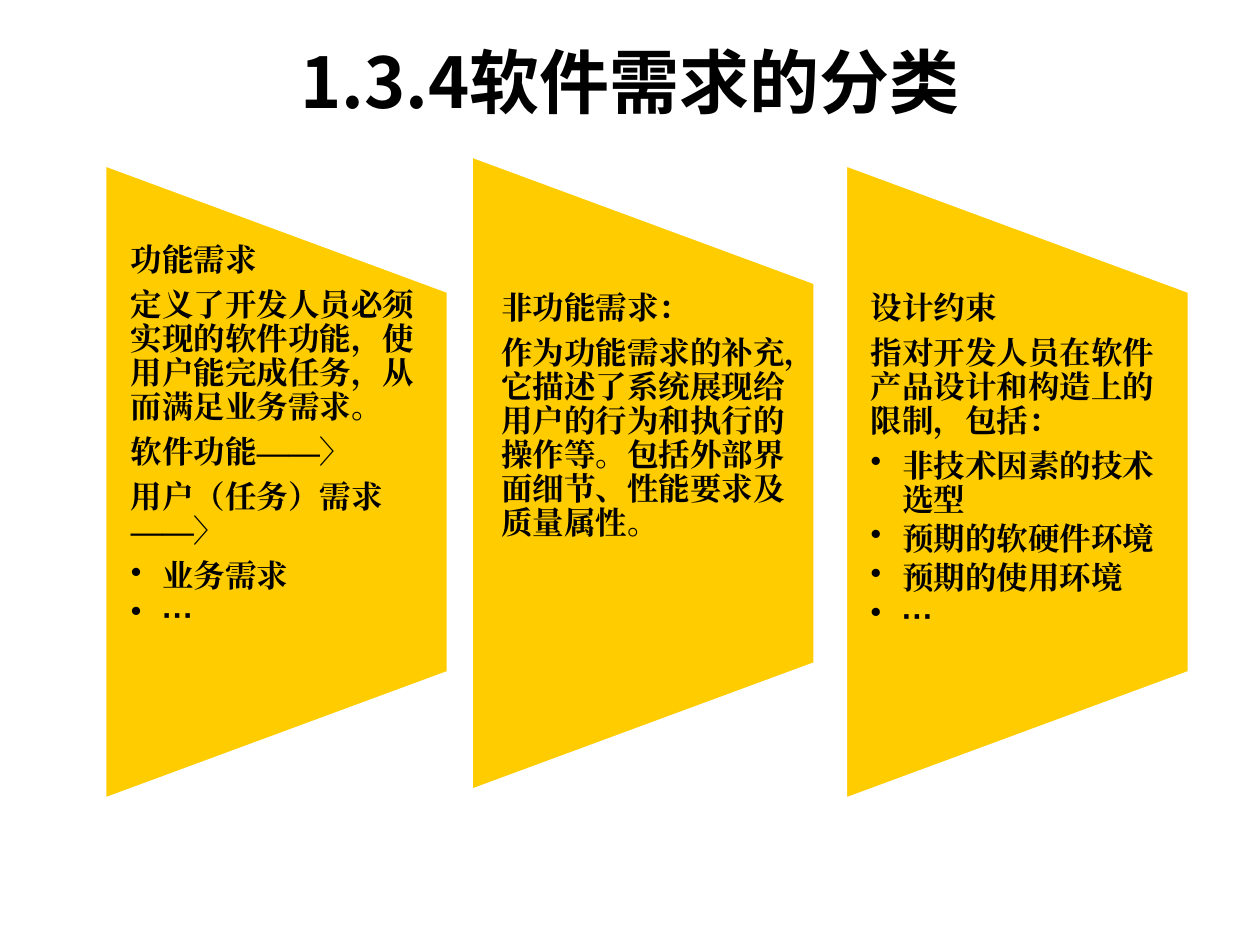
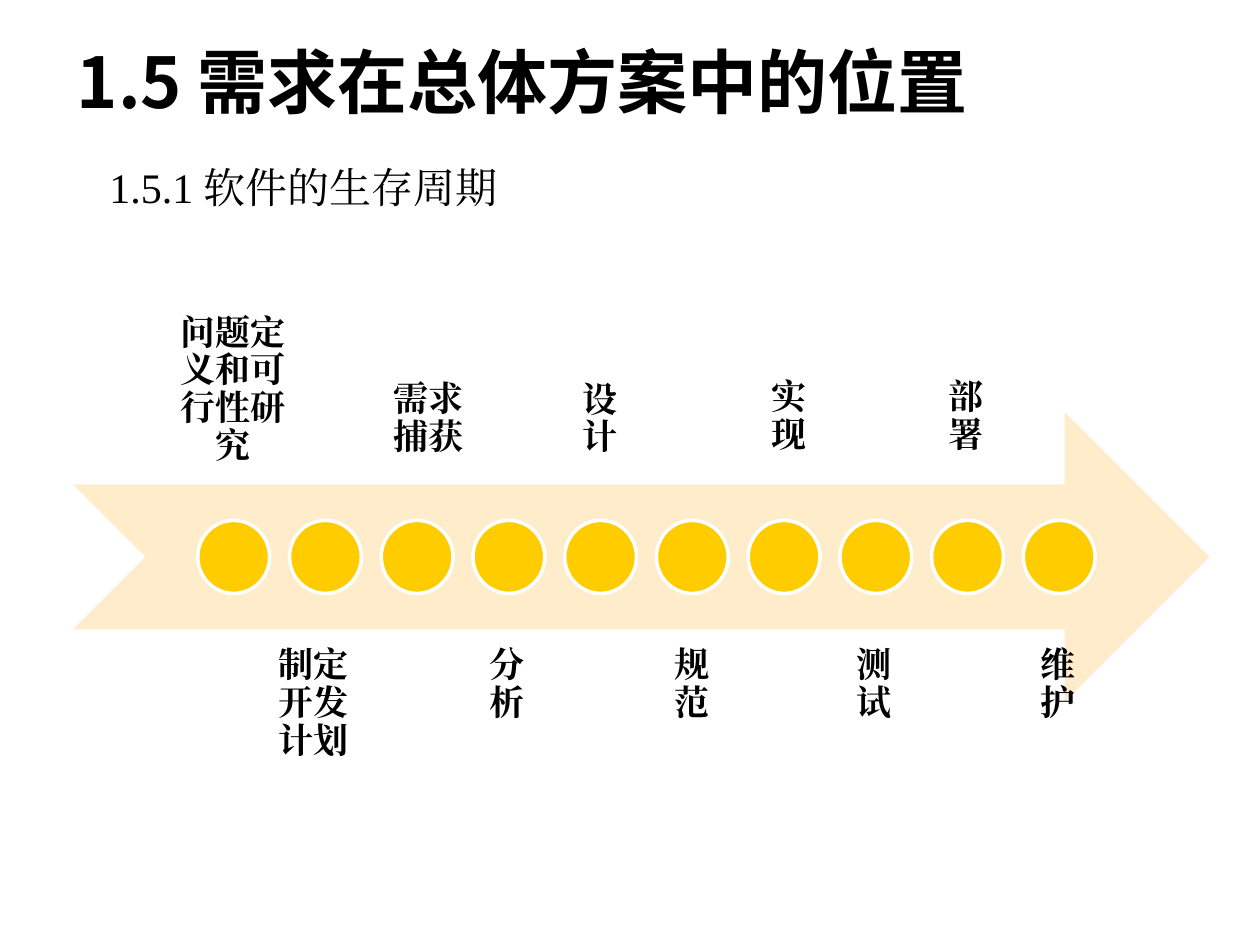
"""Build two slides on software requirements and the software life cycle."""
from dataclasses import dataclass

import lxml.etree
import pptx
import pptx.dml.color
import pptx.enum.lang
import pptx.enum.shapes
import pptx.enum.text
import pptx.oxml.ns
import pptx.presentation
import pptx.shapes.autoshape
import pptx.slide
import pptx.text.text
import pptx.util
from pptx.util import Inches

BLACK = pptx.dml.color.RGBColor(0x00, 0x00, 0x00)
WHITE = pptx.dml.color.RGBColor(0xFF, 0xFF, 0xFF)
YELLOW = pptx.dml.color.RGBColor(0xFF, 0xCC, 0x00)
CREAM = pptx.dml.color.RGBColor(0xFF, 0xEC, 0xCB)

TITLE_FONT = "Noto Sans CJK SC"
BODY_FONT = "Times New Roman"
SYMBOL_FONT = "Arial"
ELLIPSIS = "···"

LEFT = pptx.enum.text.PP_ALIGN.LEFT
CENTER = pptx.enum.text.PP_ALIGN.CENTER
TOP = pptx.enum.text.MSO_ANCHOR.TOP
BOTTOM = pptx.enum.text.MSO_ANCHOR.BOTTOM
SHAPES = pptx.enum.shapes.MSO_SHAPE

PANEL_LENGTH, PANEL_WIDTH = 5.04, 2.73
DOT_LEFT, DOT_TOP, DOT_STEP = 1.57, 4.13, 0.728
DOT_WIDTH, DOT_HEIGHT = 0.57, 0.58


@dataclass(frozen=True)
class Box:
    """Position and size in inches."""

    left: float
    top: float
    width: float
    height: float

    def lengths(self) -> tuple[pptx.util.Length, ...]:
        """Return the four values as lengths."""
        return tuple(Inches(value) for value in (self.left, self.top, self.width, self.height))


@dataclass(frozen=True)
class Category:
    """A requirement category: its panel, text area, paragraphs and bullets."""

    panel_left: float
    panel_top: float
    text_box: Box
    paragraphs: tuple[str, ...]
    bullets: tuple[str, ...] = ()


@dataclass(frozen=True)
class Phase:
    """A life cycle phase and the place of its label."""

    name: str
    label: Box


CATEGORIES = (
    Category(
        0.83, 2.46, Box(0.83, 1.94, PANEL_WIDTH, 3.41),
        (
            "功能需求",
            "定义了开发人员必须实现的软件功能，使用户能完成任务，从而满足业务需求。",
            "软件功能——〉",
            "用户（任务）需求——〉",
        ),
        ("业务需求", ELLIPSIS),
    ),
    Category(
        3.74, 2.39, Box(3.77, 2.32, PANEL_WIDTH, 3.03),
        (
            "非功能需求：",
            "作为功能需求的补充，它描述了系统展现给用户的行为和执行的操作等。"
            "包括外部界面细节、性能要求及质量属性。",
        ),
    ),
    Category(
        6.71, 2.46, Box(6.7, 2.32, PANEL_WIDTH, 3.03),
        ("设计约束", "指对开发人员在软件产品设计和构造上的限制，包括："),
        ("非技术因素的技术选型", "预期的软硬件环境", "预期的使用环境", ELLIPSIS),
    ),
)

PHASES = (
    Phase("问题定义和可行性研究", Box(1.22, 2.41, 1.26, 1.43)),
    Phase("制定开发计划", Box(2.01, 5, 0.96, 1.19)),
    Phase("需求捕获", Box(2.95, 2.81, 0.91, 0.96)),
    Phase("分析", Box(3.64, 5, 0.77, 1.12)),
    Phase("设计", Box(4.37, 2.65, 0.78, 1.12)),
    Phase("规范", Box(5.1, 5, 0.78, 1.2)),
    Phase("实现", Box(5.87, 2.49, 0.78, 1.26)),
    Phase("测试", Box(6.55, 5, 0.78, 0.88)),
    Phase("部署", Box(7.28, 2.73, 0.78, 1.02)),
    Phase("维护", Box(8.01, 5, 0.78, 0.96)),
)


def format_runs(
    paragraph: pptx.text.text._Paragraph, size: float, font_name: str = BODY_FONT, bold: bool = True
) -> None:
    """Give every run its size, weight, colour and Latin and East Asian font."""
    for run in paragraph.runs:
        run.font.size = pptx.util.Pt(size)
        run.font.bold = bold
        run.font.color.rgb = BLACK
        run.font.name = font_name
        run.font.language_id = pptx.enum.lang.MSO_LANGUAGE_ID.SIMPLIFIED_CHINESE
        properties = run._r.get_or_add_rPr()
        lxml.etree.SubElement(properties, pptx.oxml.ns.qn("a:ea"), typeface=font_name)


def add_bullet(paragraph: pptx.text.text._Paragraph) -> None:
    """Turn a paragraph into a bulleted one with a hanging indent."""
    paragraph.level = 1
    properties = paragraph._p.get_or_add_pPr()
    properties.set("marL", str(Inches(0.25)))
    properties.set("indent", str(Inches(-0.25)))
    lxml.etree.SubElement(properties, pptx.oxml.ns.qn("a:buChar"), char="•")


def add_titled_slide(
    presentation: pptx.presentation.Presentation, title: str, alignment: pptx.enum.text.PP_ALIGN
) -> pptx.slide.Slide:
    """Add a slide with a formatted title."""
    slide = presentation.slides.add_slide(presentation.slide_layouts.get_by_name("Title Only"))
    shape = slide.shapes.title
    shape.left, shape.top, shape.width, shape.height = Box(0.51, 0.21, 8.98, 0.86).lengths()
    frame = shape.text_frame
    frame.text = title
    frame.auto_size = pptx.enum.text.MSO_AUTO_SIZE.NONE
    frame.vertical_anchor = pptx.enum.text.MSO_ANCHOR.MIDDLE
    frame.paragraphs[0].alignment = alignment
    format_runs(frame.paragraphs[0], 40, TITLE_FONT)
    return slide


def add_filled_shape(
    slide: pptx.slide.Slide,
    kind: pptx.enum.shapes.MSO_SHAPE,
    box: Box,
    fill: pptx.dml.color.RGBColor = YELLOW,
    outlined: bool = True,
) -> pptx.shapes.autoshape.Shape:
    """Add a flat preset shape, with a white outline if wanted."""
    shape = slide.shapes.add_shape(kind, *box.lengths())
    shape.shadow.inherit = False
    shape.fill.solid()
    shape.fill.fore_color.rgb = fill
    if outlined:
        shape.line.color.rgb = WHITE
        shape.line.width = pptx.util.Pt(2)
    else:
        shape.line.fill.background()
    return shape


def add_text_frame(
    slide: pptx.slide.Slide, box: Box, text: str, side_inset: float, end_inset: float
) -> pptx.text.text.TextFrame:
    """Add a wrapping text box and return its frame."""
    frame = slide.shapes.add_textbox(*box.lengths()).text_frame
    frame.word_wrap = True
    frame.margin_left = frame.margin_right = Inches(side_inset)
    frame.margin_top = frame.margin_bottom = Inches(end_inset)
    frame.text = text
    return frame


def add_category(slide: pptx.slide.Slide, category: Category) -> None:
    """Draw a tapered panel and the category text on it."""
    overhang = (PANEL_LENGTH - PANEL_WIDTH) / 2
    panel_box = Box(category.panel_left - overhang, category.panel_top, PANEL_LENGTH, PANEL_WIDTH)
    panel = add_filled_shape(slide, SHAPES.FLOWCHART_MANUAL_OPERATION, panel_box)
    panel.rotation = 270
    text = "\n".join(category.paragraphs + category.bullets)
    frame = add_text_frame(slide, category.text_box, text, 0.21, 0)
    for index, paragraph in enumerate(frame.paragraphs):
        is_bullet = index >= len(category.paragraphs)
        paragraph.line_spacing = 0.9
        paragraph.space_after = pptx.util.Pt(2.7 if is_bullet else 6.3)
        if is_bullet:
            add_bullet(paragraph)
        format_runs(paragraph, 18, SYMBOL_FONT if paragraph.text == ELLIPSIS else BODY_FONT)


def add_phase(slide: pptx.slide.Slide, index: int, phase: Phase) -> None:
    """Draw a phase label, alternating above and below, and its dot."""
    frame = add_text_frame(slide, phase.label, phase.name, 0.14, 0.14)
    frame.vertical_anchor = TOP if index % 2 else BOTTOM
    paragraph = frame.paragraphs[0]
    paragraph.alignment = CENTER
    paragraph.line_spacing = 0.9
    paragraph.space_after = pptx.util.Pt(7)
    format_runs(paragraph, 20)
    dot_box = Box(DOT_LEFT + index * DOT_STEP, DOT_TOP, DOT_WIDTH, DOT_HEIGHT)
    add_filled_shape(slide, SHAPES.OVAL, dot_box)


def build_categories_slide(presentation: pptx.presentation.Presentation) -> None:
    """Build the slide on requirement categories."""
    slide = add_titled_slide(presentation, "1.3.4软件需求的分类", CENTER)
    for category in CATEGORIES:
        add_category(slide, category)


def build_life_cycle_slide(presentation: pptx.presentation.Presentation) -> None:
    """Build the slide on the software life cycle."""
    slide = add_titled_slide(presentation, "1.5 需求在总体方案中的位置", LEFT)
    subtitle = add_text_frame(slide, Box(0.77, 1.23, 3.6, 0.5), "1.5.1 软件的生存周期", 0.1, 0.05)
    format_runs(subtitle.paragraphs[0], 24, bold=False)
    arrow_box = Box(0.58, 3.27, 9.02, 2.3)
    arrow = add_filled_shape(slide, SHAPES.NOTCHED_RIGHT_ARROW, arrow_box, CREAM, outlined=False)
    arrow.adjustments[0] = 0.5
    arrow.adjustments[1] = 0.5
    for index, phase in enumerate(PHASES):
        add_phase(slide, index, phase)


def main() -> None:
    """Build and save the presentation."""
    presentation = pptx.Presentation()
    presentation.slide_width = Inches(10)
    presentation.slide_height = Inches(7.5)
    build_categories_slide(presentation)
    build_life_cycle_slide(presentation)
    presentation.save("out.pptx")


if __name__ == "__main__":
    main()
